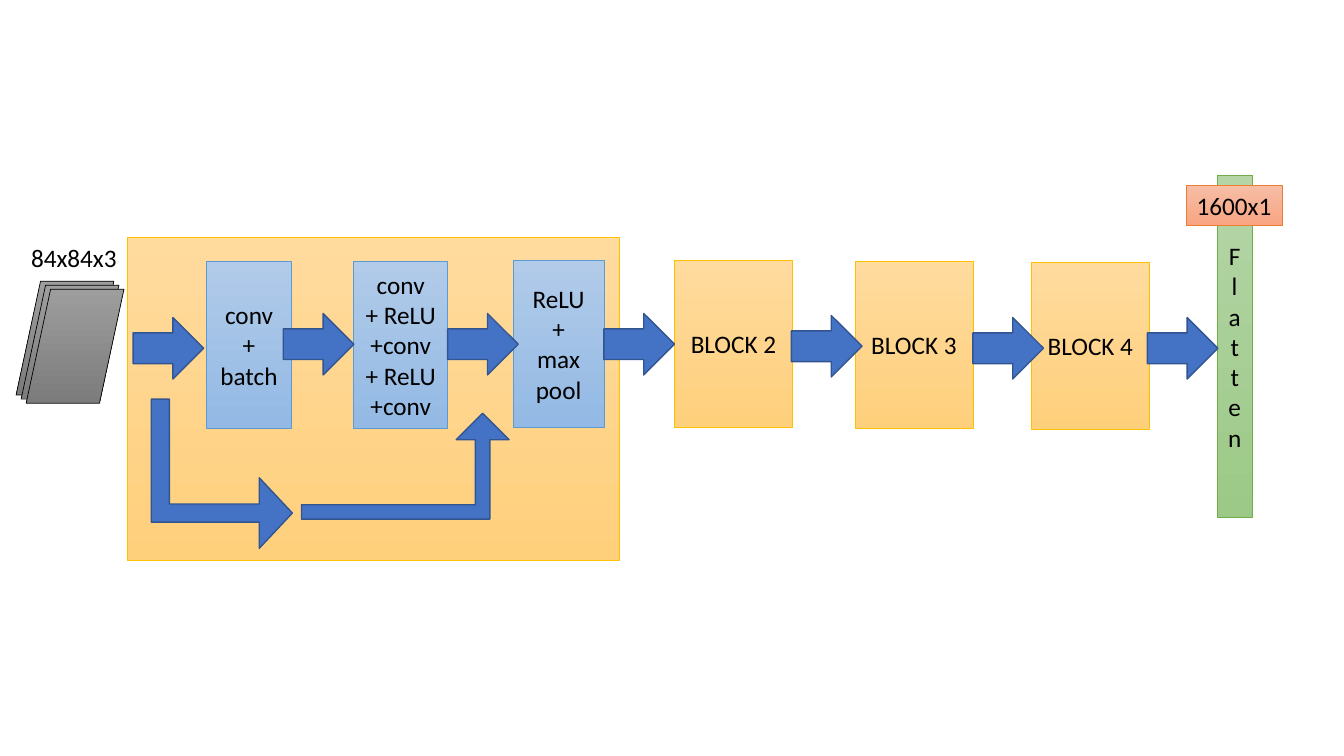
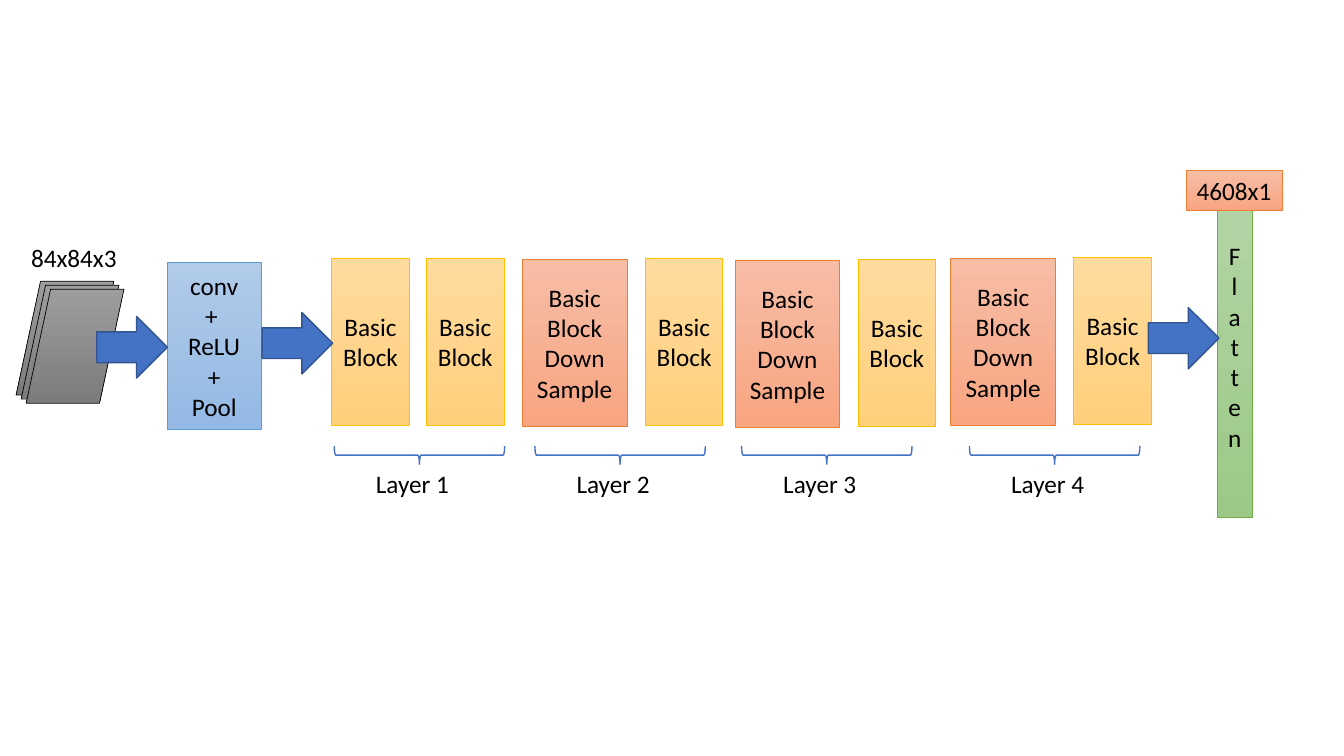
from pptx import Presentation
from pptx.dml.color import RGBColor
from pptx.enum.shapes import MSO_SHAPE as SHAPE
from pptx.enum.text import MSO_ANCHOR, MSO_AUTO_SIZE, PP_ALIGN
from pptx.util import Inches, Pt

BLACK = RGBColor(0x00, 0x00, 0x00)
ARROW_BLUE = RGBColor(0x44, 0x72, 0xC4)
ARROW_EDGE = RGBColor(0x32, 0x54, 0x91)
GOLD = (RGBColor(0xFF, 0xDB, 0x9E), RGBColor(0xFF, 0xD0, 0x7C), RGBColor(0xFF, 0xC0, 0x00))
BLUE = (RGBColor(0xB1, 0xCB, 0xE9), RGBColor(0x93, 0xB9, 0xE4), RGBColor(0x5B, 0x9B, 0xD5))
ORANGE = (RGBColor(0xF7, 0xBD, 0xA5), RGBColor(0xF8, 0xA5, 0x82), RGBColor(0xED, 0x7D, 0x31))
GREEN = (RGBColor(0xB5, 0xD5, 0xA7), RGBColor(0x9C, 0xC9, 0x87), RGBColor(0x70, 0xAD, 0x47))
GRAY = (RGBColor(0x9D, 0x9D, 0x9D), RGBColor(0x7C, 0x7C, 0x7C), BLACK)

FONT, SIZE = "Calibri", Pt(18)
BOX_H = 1.66
ARROW_W, ARROW_H = 0.7, 0.61
BRACE_W, BRACE_H, BRACE_TOP = 0.18, 1.69, 3.67
LABEL_TOP, LABEL_W, LABEL_H, LABEL_SHIFT = 4.6, 0.94, 0.4, -0.44

BASIC = "Basic Block"
DOWN = "Basic Block\nDown\nSample"

RESIDUAL_BOXES = [
    ("conv\n+\nbatch", 2.05, 2.59, 0.84, BLUE),
    ("conv\n+ ReLU\n+conv\n+ ReLU\n+conv", 3.51, 2.59, 0.93, BLUE),
    ("ReLU\n+\nmax\npool", 5.09, 2.58, 0.9, BLUE),
    ("BLOCK 2", 6.69, 2.58, 1.17, GOLD),
    ("BLOCK 3", 8.48, 2.59, 1.17, GOLD),
    ("BLOCK 4", 10.23, 2.6, 1.17, GOLD),
]
RESIDUAL_ARROWS = [(1.32, 3.15), (2.81, 3.11), (4.44, 3.11), (5.99, 3.11),
                   (7.85, 3.13), (9.65, 3.15), (11.38, 3.15)]
SKIP_ARROWS = [
    ((2.99, 4.1, 2.06, 1.05), 0, (0.136, 0.25, 0.25)),
    ((1.46, 4, 1.48, 1.4), 90, (0.128, 0.25, 0.235)),
]

LAYER_BOXES = [
    ("conv\n+ \nReLU\n+\nPool", 1.66, 2.6, 0.93, BLUE),
    (BASIC, 3.29, 2.56, 0.77, GOLD),
    (BASIC, 4.23, 2.56, 0.77, GOLD),
    (DOWN, 5.18, 2.57, 1.04, ORANGE),
    (BASIC, 6.4, 2.56, 0.77, GOLD),
    (DOWN, 7.29, 2.58, 1.04, ORANGE),
    (BASIC, 8.51, 2.57, 0.77, GOLD),
    (DOWN, 9.43, 2.56, 1.04, ORANGE),
    (BASIC, 10.65, 2.55, 0.77, GOLD),
]
LAYER_ARROWS = [(0.96, 3.14), (2.6, 3.1), (11.39, 3.05)]
LAYERS = [("Layer 1", 4.07), ("Layer 2", 6.06), ("Layer 3", 8.11), ("Layer 4", 10.37)]


def write(sp, text, align=PP_ALIGN.CENTER):
    p = sp.text_frame.paragraphs[0]
    p.text = text
    p.alignment = align
    p.font.name, p.font.size = FONT, SIZE
    p.font.color.rgb = BLACK


def fit(sp):
    sp.text_frame.word_wrap = False
    sp.text_frame.auto_size = MSO_AUTO_SIZE.SHAPE_TO_FIT_TEXT
    sp.text_frame.vertical_anchor = MSO_ANCHOR.TOP


def add_shape(shapes, kind, at, edge, weight):
    sp = shapes.add_shape(kind, *map(Inches, at))
    sp.shadow.inherit = False
    sp.line.color.rgb = edge
    sp.line.width = Pt(weight)
    return sp


def add_block(shapes, at, style, text="", kind=SHAPE.RECTANGLE):
    top, bottom, edge = style
    sp = add_shape(shapes, kind, at, edge, 0.5)
    sp.fill.gradient()
    sp.fill.gradient_angle = 270
    for stop, color in zip(sp.fill.gradient_stops, (top, bottom)):
        stop.color.rgb = color
    if text:
        sp.text_frame.word_wrap = True
        sp.text_frame.vertical_anchor = MSO_ANCHOR.MIDDLE
        write(sp, text)
    return sp


def add_arrow(shapes, at, kind=SHAPE.RIGHT_ARROW):
    sp = add_shape(shapes, kind, at, ARROW_EDGE, 1)
    sp.fill.solid()
    sp.fill.fore_color.rgb = ARROW_BLUE
    return sp


def add_label(shapes, text, at):
    sp = shapes.add_textbox(*map(Inches, at))
    fit(sp)
    write(sp, text, PP_ALIGN.LEFT)


def add_input(s):
    shapes = s.shapes.add_group_shape().shapes
    add_label(shapes, "84x84x3", (0.21, 2.36, 1.06, 0.4))
    for i in range(3):
        at = (0.16 + 0.05 * i, 2.79 + 0.04 * i, 0.97, 1.13)
        add_block(shapes, at, GRAY, kind=SHAPE.PARALLELOGRAM)


def add_network(s, boxes, arrows, output, output_top):
    add_input(s)
    for text, x, y, w, style in boxes:
        add_block(s.shapes, (x, y, w, BOX_H), style, text)
    add_block(s.shapes, (12.07, 1.74, 0.35, 3.39), GREEN, "Flatten")
    for x, y in arrows:
        add_arrow(s.shapes, (x, y, ARROW_W, ARROW_H))
    tag = add_block(s.shapes, (11.77, output_top, 0.95, 0.4), ORANGE, output)
    fit(tag)
    tag.text_frame.paragraphs[0].alignment = PP_ALIGN.LEFT


prs = Presentation()
prs.slide_width, prs.slide_height = Inches(13.33), Inches(7.5)
blank = prs.slide_layouts[6]

s = prs.slides.add_slide(blank)
add_block(s.shapes, (1.26, 2.36, 4.88, 3.2), GOLD)
add_network(s, RESIDUAL_BOXES, RESIDUAL_ARROWS, "1600x1", 1.84)
for at, rotation, adjustments in SKIP_ARROWS:
    sp = add_arrow(s.shapes, at, SHAPE.BENT_UP_ARROW)
    sp.rotation = rotation
    for i, value in enumerate(adjustments):
        sp.adjustments[i] = value

s = prs.slides.add_slide(blank)
add_network(s, LAYER_BOXES, LAYER_ARROWS, "4608x1", 1.69)
for text, x in LAYERS:
    brace = add_shape(s.shapes, SHAPE.LEFT_BRACE, (x, BRACE_TOP, BRACE_W, BRACE_H), ARROW_BLUE, 1)
    brace.fill.background()
    brace.rotation = 270
    add_label(s.shapes, text, (x + LABEL_SHIFT, LABEL_TOP, LABEL_W, LABEL_H))

prs.save("out.pptx")
